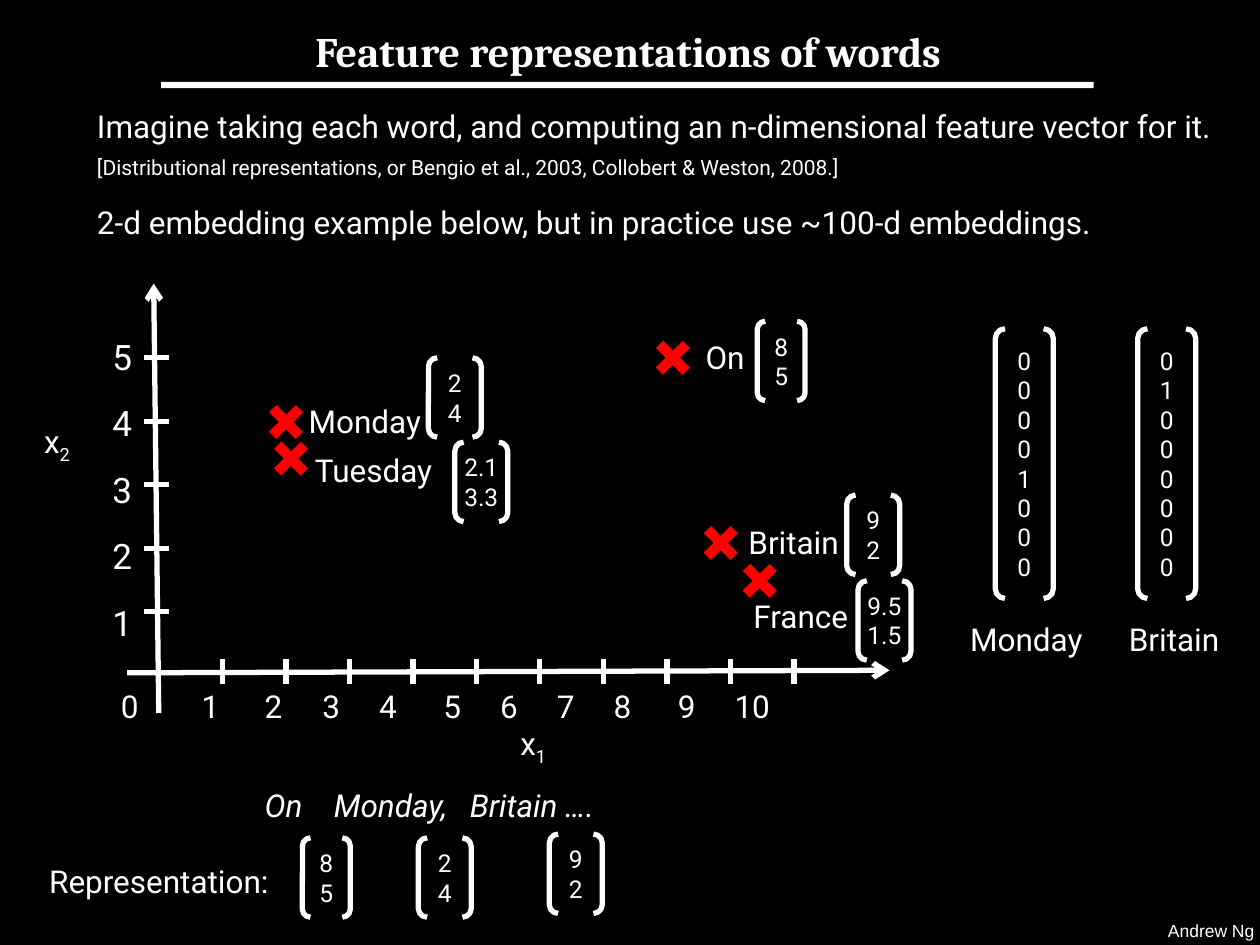
import pptx
import pptx.util
import pptx.dml.color
import pptx.enum.shapes
import pptx.enum.text
import pptx.oxml.ns
from lxml import etree

Inches = pptx.util.Inches
Pt = pptx.util.Pt
Shape = pptx.enum.shapes.MSO_SHAPE
Align = pptx.enum.text.PP_ALIGN
Anchor = pptx.enum.text.MSO_ANCHOR
qn = pptx.oxml.ns.qn

BLACK = pptx.dml.color.RGBColor(0x00, 0x00, 0x00)
WHITE = pptx.dml.color.RGBColor(0xFF, 0xFF, 0xFF)
RED = pptx.dml.color.RGBColor(0xFF, 0x00, 0x00)

TITLE = "Feature representations of words"
INTRO = [
    "Imagine taking each word, and computing an n-dimensional feature vector for it.",
    "[Distributional representations, or Bengio et al., 2003, Collobert & Weston, 2008.]",
    "2-d embedding example below, but in practice use ~100-d embeddings.",
]
AXES = [((1.26, 5.66), (1.22, 2.25)), ((1.01, 5.34), (7.06, 5.32))]
AXIS_NAMES = [("x", "2", 0.35, 3.35), ("x", "1", 4.13, 5.75)]
TICK_STEP, TICK_LENGTH = 0.504, 0.2
FIRST_X_TICK, X_TICK_TOP, X_TICKS = 1.765, 5.23, 10
FIRST_Y_TICK, Y_TICK_LEFT, Y_TICKS = 2.84, 1.14, 5
X_NUMBER_LEFTS = [0.96, 1.6, 2.1, 2.56, 3.01, 3.52, 3.97, 4.42, 4.87, 5.38, 5.83]

VECTOR_HEIGHT = 0.63
WORDS = [
    ("Monday", (2.12, 3.2), (2.45, 3.19), (3.4, 2.84, 0.42), ["2", "4"]),
    ("Britain", (5.57, 4.16), (5.94, 4.15), (6.72, 3.93, 0.42), ["9", "2"]),
    ("Tuesday", (2.16, 3.49), (2.5, 3.58), (3.61, 3.51, 0.42), ["2.1", "3.3"]),
    ("France", (5.88, 4.46), (5.98, 4.74), (6.81, 4.61, 0.42), ["9.5", "1.5"]),
    ("On", (5.19, 2.69), (5.6, 2.68), (6.01, 2.55, 0.38), ["8", "5"]),
]
ONE_HOT = [("Monday", 7.9, 7.7, 4), ("Britain", 9.03, 8.96, 1)]
ONE_HOT_LENGTH = 8
PHRASE = [("On", 2.1), ("Monday,", 2.65), ("Britain ….", 3.73)]
PHRASE_VECTORS = [
    ((2.4, 6.65, 0.38), ["8", "5"]),
    ((3.32, 6.65, 0.42), ["2", "4"]),
    ((4.36, 6.62, 0.42), ["9", "2"]),
]


def write(box, lines, size=18, font="Roboto", align=Align.LEFT, anchor=Anchor.TOP,
          bold=False, italic=False, after=0, tabs=(), subscript=""):
    frame = box.text_frame
    frame.word_wrap = True
    frame.vertical_anchor = anchor
    frame.margin_left = frame.margin_right = frame.margin_top = frame.margin_bottom = 0
    for index, line in enumerate(lines):
        para = frame.paragraphs[0] if index == 0 else frame.add_paragraph()
        if tabs:
            stops = etree.SubElement(para._p.get_or_add_pPr(), qn("a:tabLst"))
            for stop in tabs:
                etree.SubElement(stops, qn("a:tab"), pos=str(Inches(stop)), algn="l")
        para.alignment = align
        para.space_before = Pt(0)
        para.space_after = Pt(after)
        for text in filter(None, (line, subscript)):
            span = para.add_run()
            span.text = text
            span.font.size = Pt(size)
            span.font.name = font
            span.font.bold = bold
            span.font.italic = italic
            span.font.color.rgb = WHITE
            if text == subscript:
                span._r.get_or_add_rPr().set("baseline", "-25000")
    return frame


def add_text(holder, left, top, width, height, lines, **style):
    box = holder.shapes.add_textbox(*map(Inches, (left, top, width, height)))
    return write(box, lines, **style)


def add_tabbed(holder, lefts, top, words, **style):
    stops = [left - lefts[0] for left in lefts[1:]]
    add_text(holder, lefts[0], top, stops[-1] + 1.2, 0.3, ["\t".join(words)],
             tabs=stops, **style)


def add_preset(holder, kind, left, top, width, height, fill=None):
    shape = holder.shapes.add_shape(kind, *map(Inches, (left, top, width, height)))
    shape.shadow.inherit = False
    if fill is None:
        shape.fill.background()
        shape.line.color.rgb = WHITE
        shape.line.width = Pt(3)
    else:
        shape.fill.solid()
        shape.fill.fore_color.rgb = fill
        shape.line.fill.background()
    return shape


def add_line(holder, start, end, arrow=False):
    line = holder.shapes.add_connector(
        pptx.enum.shapes.MSO_CONNECTOR.STRAIGHT, *map(Inches, (*start, *end)))
    line.line.color.rgb = WHITE
    line.line.width = Pt(3)
    if arrow:
        etree.SubElement(line.line._get_or_add_ln(), qn("a:tailEnd"), type="arrow")
    etree.SubElement(line._element.spPr, qn("a:effectLst"))


def add_vector(holder, place, values, height=VECTOR_HEIGHT):
    left, top, width = place
    add_preset(holder, Shape.DOUBLE_BRACKET, left, top, width, height)
    add_text(holder, left, top, width, height, values, size=14,
             align=Align.CENTER, anchor=Anchor.MIDDLE)


def add_heading(page):
    title = page.shapes.title
    title.left, title.top, title.width, title.height = map(Inches, (1.22, 0.24, 7.53, 0.33))
    write(title, [TITLE], size=24, font="Cambria", bold=True,
          align=Align.CENTER, anchor=Anchor.MIDDLE)
    add_preset(page, Shape.RECTANGLE, 1.28, 0.65, 7.4, 0.05, fill=WHITE)
    add_text(page, 9.27, 7.3, 0.73, 0.17, ["Andrew Ng"], size=10, font="Arial")
    intro = add_text(page, 0.77, 0.85, 9.2, 1.38, INTRO)
    citation, example = intro.paragraphs[1:]
    citation.space_before = Pt(5.5)
    citation.runs[0].font.size = Pt(12)
    example.space_before = Pt(13.5)


def add_axes(page):
    for start, end in AXES:
        add_line(page, start, end, arrow=True)
    for name, index, left, top in AXIS_NAMES:
        add_text(page, left, top, 0.35, 0.3, [name], subscript=index)
    for step in range(Y_TICKS):
        y = FIRST_Y_TICK + step * TICK_STEP
        add_line(page, (Y_TICK_LEFT, y), (Y_TICK_LEFT + TICK_LENGTH, y))
    for step in range(X_TICKS):
        x = FIRST_X_TICK + step * TICK_STEP
        add_line(page, (x, X_TICK_TOP), (x, X_TICK_TOP + TICK_LENGTH))
    add_tabbed(page, X_NUMBER_LEFTS, 5.45, [str(n) for n in range(X_TICKS + 1)])
    add_text(page, 0.79, 2.66, 0.36, 2.47, [str(n) for n in range(Y_TICKS, 0, -1)],
             size=20, align=Align.CENTER, after=14)


def add_words(page):
    for word, mark, label, bracket, values in WORDS:
        group = page.shapes.add_group_shape()
        cross = add_preset(group, Shape.CROSS, *mark, 0.3, 0.3, fill=RED)
        cross.adjustments[0] = 0.365
        cross.rotation = 45.4
        add_text(group, *label, 1, 0.3, [word])
        add_vector(group, bracket, values)


def add_one_hot(page):
    for word, left, label_left, hot in ONE_HOT:
        group = page.shapes.add_group_shape()
        values = ["1" if row == hot else "0" for row in range(ONE_HOT_LENGTH)]
        add_vector(group, (left, 2.61, 0.46), values, height=2.14)
        add_text(page, label_left, 4.92, 1, 0.3, [word])


def add_phrase(page):
    group = page.shapes.add_group_shape()
    words, lefts = zip(*PHRASE)
    add_tabbed(group, lefts, 6.24, words, italic=True)
    add_text(group, 0.39, 6.84, 1.9, 0.3, ["Representation:"])
    for bracket, values in PHRASE_VECTORS:
        add_vector(group, bracket, values)


def main():
    deck = pptx.Presentation()
    deck.slide_width, deck.slide_height = Inches(10), Inches(7.5)
    page = deck.slides.add_slide(deck.slide_layouts[5])
    page.background.fill.solid()
    page.background.fill.fore_color.rgb = BLACK
    add_heading(page)
    add_axes(page)
    add_one_hot(page)
    add_words(page)
    add_phrase(page)
    deck.save("out.pptx")


if __name__ == "__main__":
    main()
